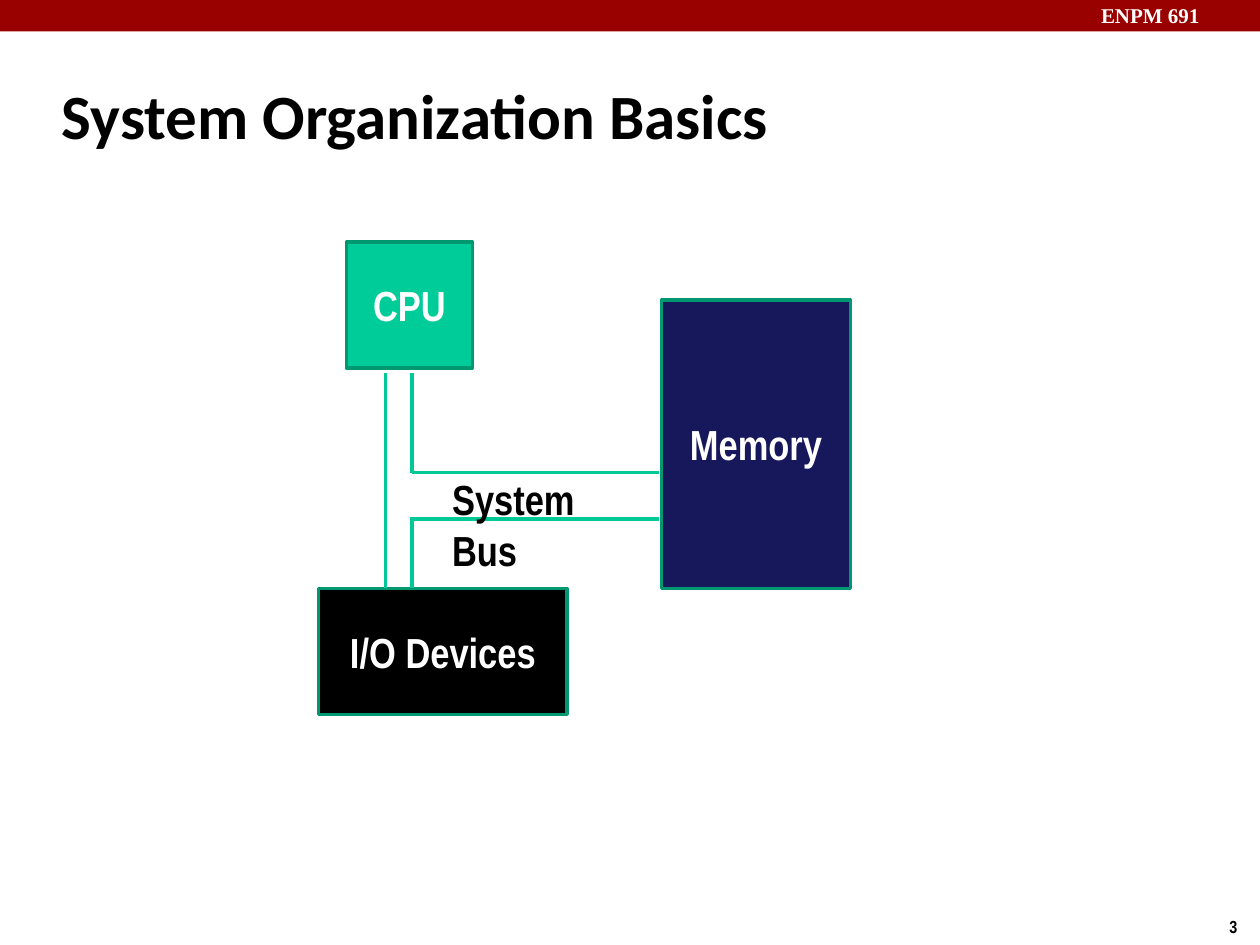
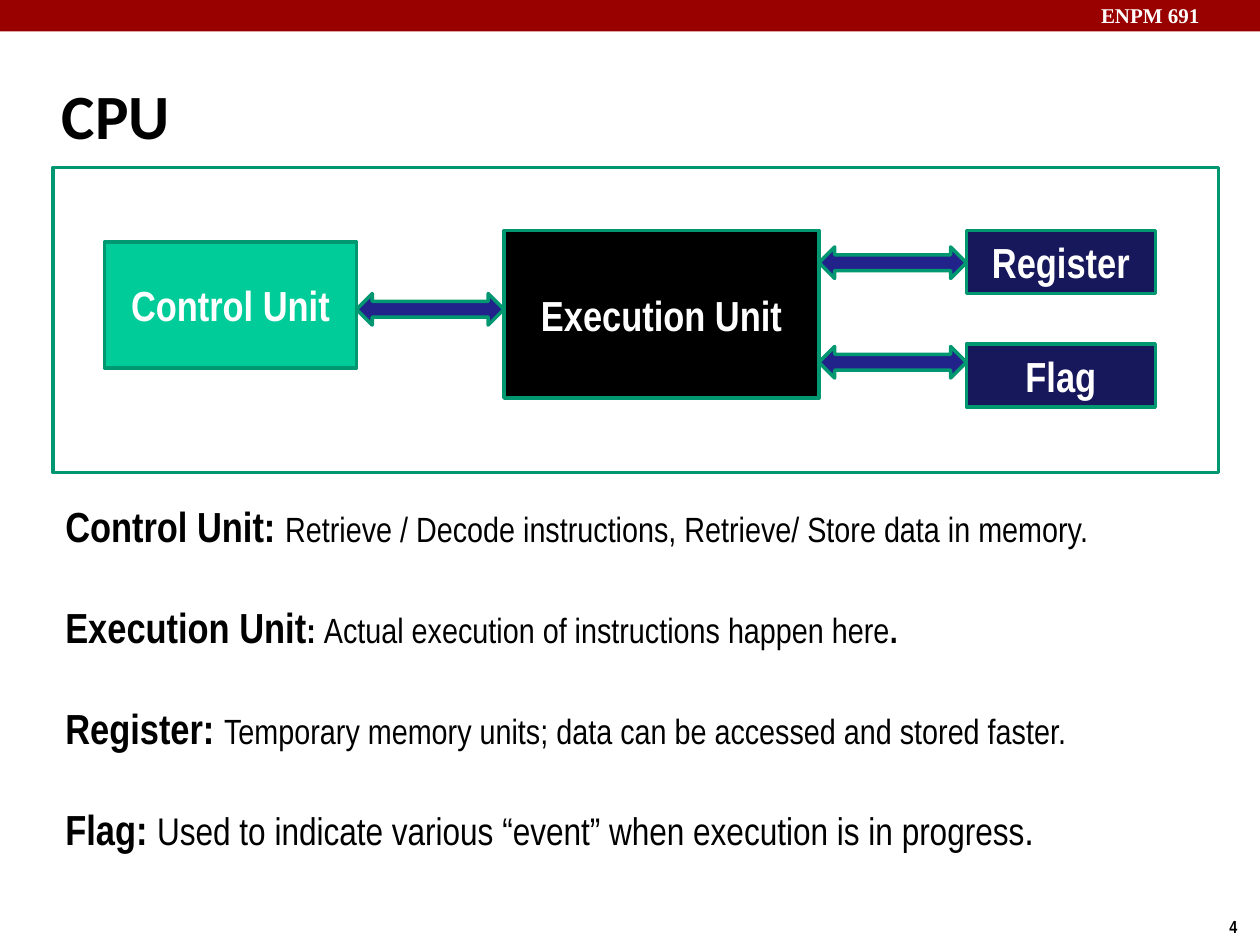
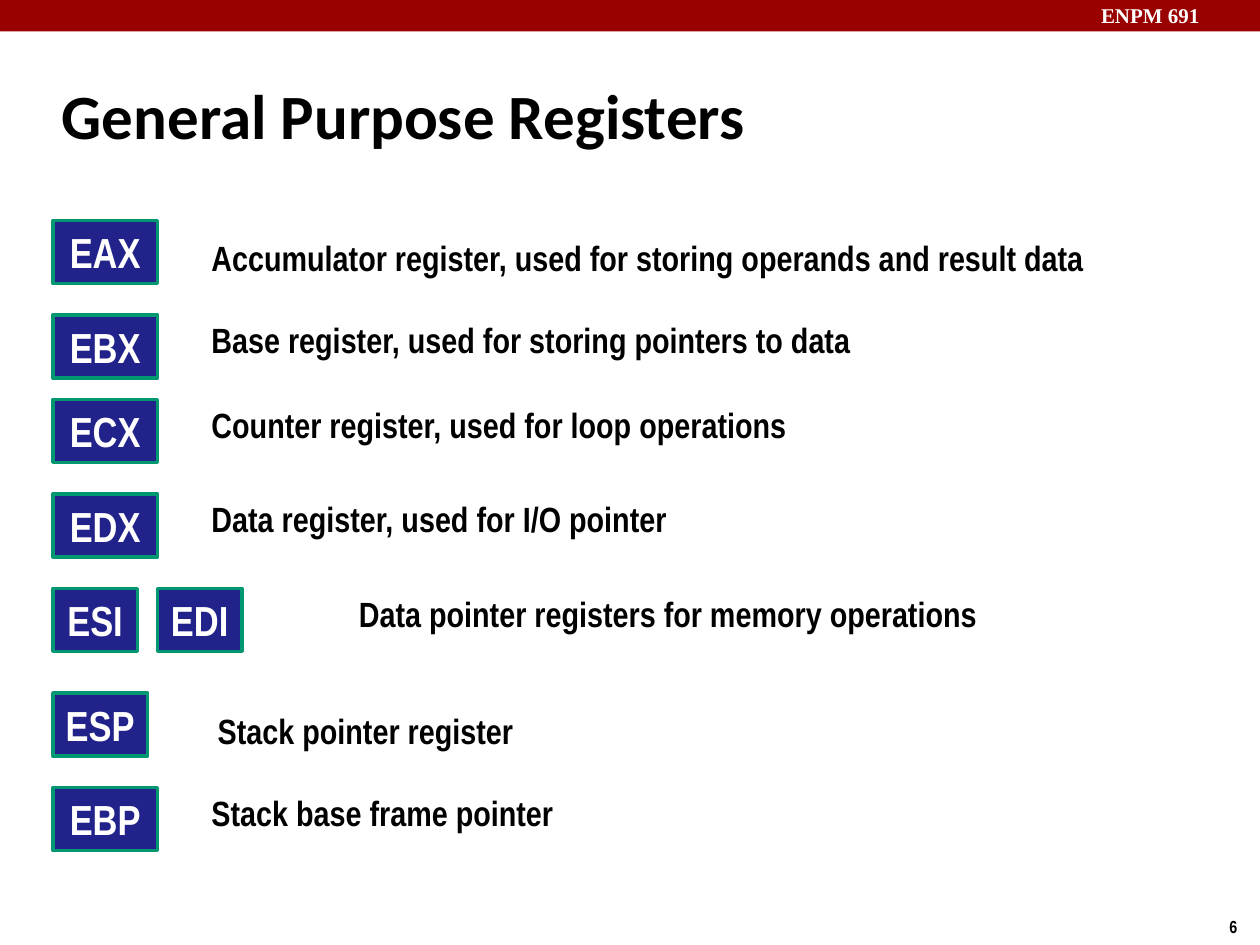
from pptx import Presentation
from pptx import util as u
from pptx.dml import color
from pptx.enum import shapes, text
from pptx.oxml import xmlchemy as xml
from lxml import etree

hues = {"band": "990000", "edge": "009771", "wire": "00C896", "mint": "00CC99",
        "navy": "17175C", "blue": "22228B", "black": "000000", "white": "FFFFFF"}
hues = {name: color.RGBColor.from_string(code) for name, code in hues.items()}
sans = "Arial Narrow"
kinds = shapes.MSO_SHAPE
NS = "http://schemas.openxmlformats.org/drawingml/2006/main"


def write(para, words, size, hue="black", bold=True, face=sans):
    run = para.add_run()
    run.text = words
    run.font.size = u.Pt(size)
    run.font.name = face
    run.font.bold = bold
    run.font.color.rgb = hues[hue]


def draw(slide, place, fill=None, words="", kind=kinds.RECTANGLE, edge="edge"):
    item = slide.shapes.add_shape(kind, *map(u.Inches, place))
    item.shadow.inherit = False
    if fill:
        item.fill.solid()
        item.fill.fore_color.rgb = hues[fill]
    else:
        item.fill.background()
    if edge:
        item.line.color.rgb = hues[edge]
        item.line.width = u.Pt(2)
    else:
        item.line.fill.background()
    if words:
        frame = item.text_frame
        frame.word_wrap = False
        frame.vertical_anchor = text.MSO_ANCHOR.MIDDLE
        frame.paragraphs[0].alignment = text.PP_ALIGN.CENTER
        write(frame.paragraphs[0], words, 24, "white")


deck = Presentation()
deck.slide_width = u.Inches(10)
deck.slide_height = u.Inches(7.5)

pages = []
for number, head in [("3", "System Organization Basics"), ("4", "CPU"),
                     ("6", "General Purpose Registers")]:
    page = deck.slides.add_slide(deck.slide_layouts[5])
    pages.append(page)
    draw(page, (0, 0, 10, 0.25), "band", edge=None)
    course = page.shapes.add_textbox(*map(u.Inches, (8.64, -0.03, 1.43, 0.3)))
    course.text_frame.word_wrap = True
    write(course.text_frame.paragraphs[0], "ENPM 691", 12, "white", face="Times New Roman")
    foot = page.shapes.add_textbox(*map(u.Inches, (9.66, 7.22, 0.34, 0.27)))
    write(foot.text_frame.paragraphs[0], number, 10)
    title = page.shapes.title
    title.left, title.top, title.width, title.height = map(u.Inches, (0.39, 0.49, 8.3, 0.83))
    title.text_frame.auto_size = text.MSO_AUTO_SIZE.NONE
    title.text_frame.vertical_anchor = text.MSO_ANCHOR.MIDDLE
    title.text_frame.paragraphs[0].alignment = text.PP_ALIGN.LEFT
    write(title.text_frame.paragraphs[0], head, 36, face="Calibri")

basics, cpu, general = pages

draw(basics, (2.75, 1.92, 1, 1), "mint", "CPU")
draw(basics, (2.53, 4.67, 1.97, 1), "black", "I/O Devices")
draw(basics, (5.25, 2.38, 1.5, 2.29), "navy", "Memory")
bus = basics.shapes.add_group_shape()
for ends in [(3.06, 2.96, 3.06, 4.67), (3.27, 2.96, 3.27, 3.75), (3.27, 4.1, 3.27, 4.67),
             (3.27, 3.75, 5.23, 3.75), (3.27, 4.12, 5.23, 4.12)]:
    wire = bus.shapes.add_connector(shapes.MSO_CONNECTOR.STRAIGHT, *map(u.Inches, ends))
    wire.line.color.rgb = hues["wire"]
    wire.line.width = u.Pt(2)
    etree.SubElement(wire.element.spPr, f"{{{NS}}}effectLst")
label = basics.shapes.add_textbox(*map(u.Inches, (3.49, 3.71, 1.36, 0.4)))
label.text_frame.word_wrap = True
write(label.text_frame.paragraphs[0], "System Bus", 24)

draw(cpu, (0.42, 1.33, 9.25, 2.42))
draw(cpu, (0.83, 1.92, 2, 1), "mint", "Control Unit")
draw(cpu, (4, 1.83, 2.5, 1.33), "black", "Execution Unit")
draw(cpu, (7.67, 1.83, 1.5, 0.5), "navy", "Register")
draw(cpu, (7.67, 2.73, 1.5, 0.5), "navy", "Flag")
for left, top in [(2.83, 2.33), (6.5, 1.96), (6.5, 2.75)]:
    draw(cpu, (left, top, 1.17, 0.25), "blue", kind=kinds.LEFT_RIGHT_ARROW)

parts = [
    [("Control Unit: ", 24, True),
     ("Retrieve / Decode instructions, Retrieve/ Store data in memory.", 20, False)],
    [("Execution Unit", 24, True), (": ", 20, True),
     ("Actual execution of instructions happen here", 20, False), (".", 20, True)],
    [("Register: ", 24, True),
     ("Temporary memory units; data can be accessed and stored faster.", 20, False)],
    [("Flag: ", 24, True),
     ("Used to indicate various “event” when execution is in progress", 22, False),
     (".", 24, False)],
]
notes = cpu.shapes.add_textbox(*map(u.Inches, (0.42, 3.92, 8.83, 2.93))).text_frame
notes.word_wrap = True
for row, runs in enumerate(parts):
    para = notes.add_paragraph() if row else notes.paragraphs[0]
    para.space_after = u.Pt(29)
    for words, size, bold in runs:
        write(para, words, size, bold=bold)

for name, left, top, width in [
        ("EAX", 0.42, 1.75, 0.83), ("EBX", 0.42, 2.5, 0.83), ("ECX", 0.42, 3.17, 0.83),
        ("EDX", 0.42, 3.92, 0.83), ("ESI", 0.42, 4.67, 0.67), ("EDI", 1.25, 4.67, 0.67),
        ("ESP", 0.42, 5.5, 0.75), ("EBP", 0.42, 6.25, 0.83)]:
    draw(general, (left, top, width, 0.5), "blue", name)
for words, left, top, width in [
        ("Accumulator register, used for storing operands and result data", 1.58, 1.83, 7.47),
        ("Base register, used for storing pointers to data", 1.58, 2.48, 5.5),
        ("Counter register, used for loop operations", 1.58, 3.15, 4.95),
        ("Data register, used for I/O pointer", 1.58, 3.9, 4.03),
        ("Data pointer registers for memory operations", 2.75, 4.65, 5.37),
        ("Stack pointer register", 1.63, 5.58, 2.63),
        ("Stack base frame pointer", 1.58, 6.23, 3.03)]:
    use = general.shapes.add_textbox(*map(u.Inches, (left, top, width, 0.44)))
    use.text_frame.word_wrap = True
    write(use.text_frame.paragraphs[0], words, 20)

deck.save("out.pptx")
